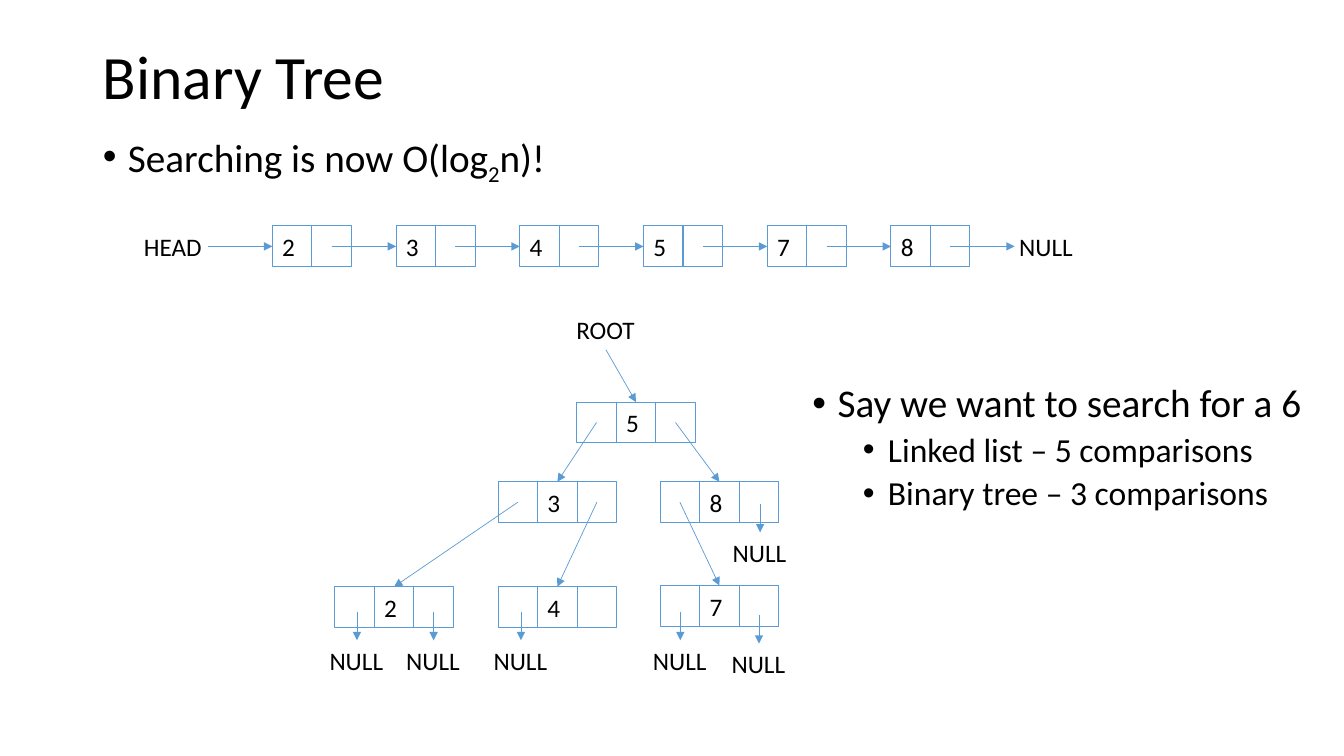
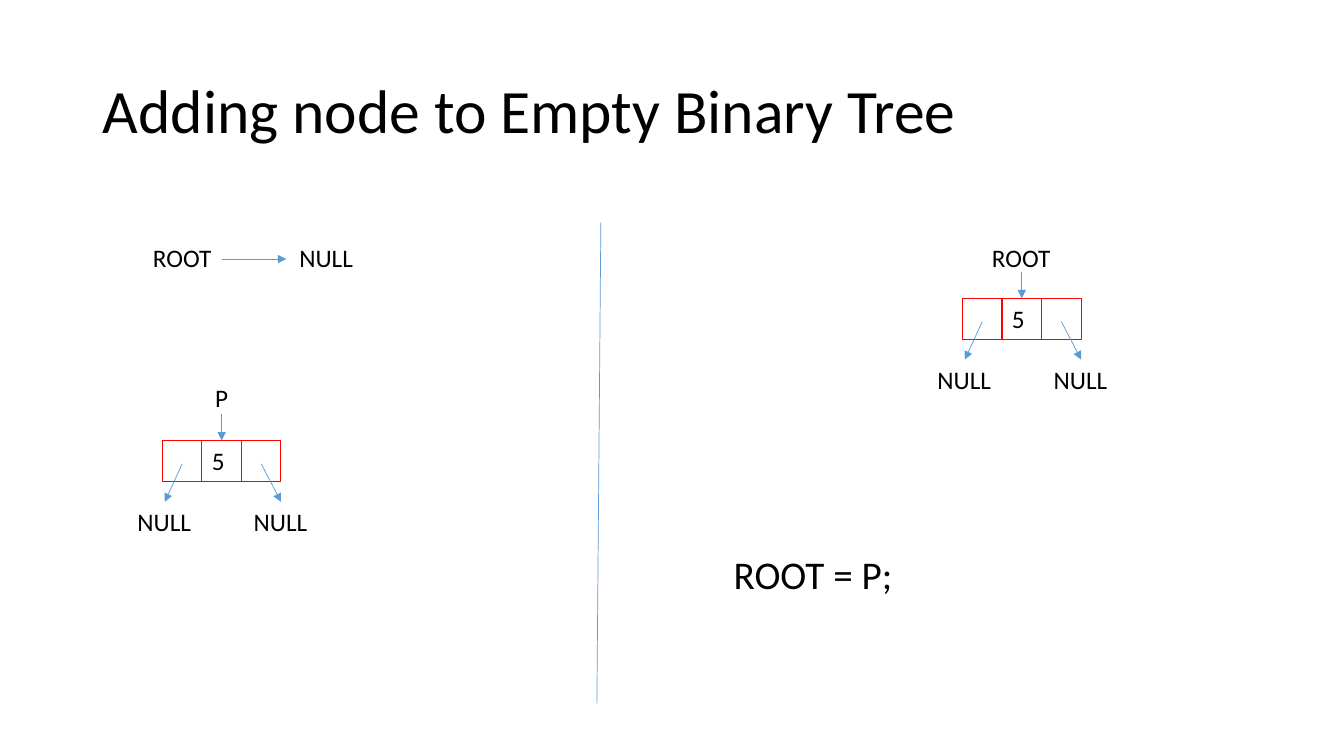
from dataclasses import dataclass
from typing import Any, NamedTuple

from lxml import etree
from pptx import Presentation
from pptx import util as u
from pptx.dml.color import RGBColor
from pptx.enum import shapes, text
from pptx.oxml import ns

SLIDE_WIDTH = u.Inches(13.333)
SLIDE_HEIGHT = u.Inches(7.5)
COLUMNS = 34
ROWS = 18.5

BLACK = RGBColor(0x00, 0x00, 0x00)
BLUE = RGBColor(0x5B, 0x9B, 0xD5)
RED = RGBColor(0xFF, 0x00, 0x00)

TITLE_ONLY = 5
LIST_PITCH = 3.13
POINTER_DROP = 0.7
LABEL_WIDTHS = {"NULL": 1.89, "ROOT": 2.01, "HEAD": 1.99, "P": 0.84}
LEFT_ALIGNED = {"alignment": text.PP_ALIGN.LEFT}
TITLE_PARAGRAPH = LEFT_ALIGNED | {"line_spacing": 0.9}
TITLE_FRAME = {"word_wrap": True, "vertical_anchor": text.MSO_ANCHOR.MIDDLE}
BODY_FRAME = {"word_wrap": True, "vertical_anchor": text.MSO_ANCHOR.TOP}
LABEL_FRAME = {"word_wrap": False, "auto_size": text.MSO_AUTO_SIZE.SHAPE_TO_FIT_TEXT}


class Point(NamedTuple):
    column: float
    row: float


class Box(NamedTuple):
    column: float
    row: float
    columns: float
    rows: float


@dataclass(frozen=True)
class Node:
    values: tuple[str, ...]
    corner: Point
    color: RGBColor = BLUE

    def at(self, columns: float, rows: float) -> Point:
        return Point(self.corner.column + columns, self.corner.row + rows)

    def slot(self, index: int) -> Point:
        return self.at(index + 0.5, 0.5)

    @property
    def top(self) -> Point:
        return self.at(len(self.values) / 2, 0)


@dataclass(frozen=True)
class Line:
    pieces: tuple[str, ...]
    size: int = 28
    before: int = 10
    indent: float = 0
    subscript: int = -1


def tree_node(value: str, column: float, row: float, color: RGBColor = BLUE) -> Node:
    return Node(("", value, ""), Point(column, row), color)


TREE = {
    "5": tree_node("5", 14.59, 9.84),
    "3": tree_node("3", 12.6, 11.79),
    "8": tree_node("8", 16.7, 11.79),
    "2": tree_node("2", 8.47, 14.36),
    "4": tree_node("4", 12.6, 14.36),
    "7": tree_node("7", 16.7, 14.33),
}
TREE_LINKS = [("5", 0, "3"), ("5", 2, "8"), ("3", 0, "2"), ("3", 2, "4"), ("8", 0, "7")]
NULL_POINTERS = [
    Point(9.03, 14.97),
    Point(10.97, 14.97),
    Point(13.18, 14.97),
    Point(17.21, 14.97),
    Point(19.2, 15.05),
    Point(19.23, 12.33),
]
COMPARISONS = [
    Line(("Say we want to search for a 6",), indent=0.25),
    Line(("Linked list – 5 comparisons",), 24, 5, 0.75),
    Line(("Binary tree – 3 comparisons",), 24, 5, 0.75),
]


def across(columns: float) -> u.Emu:
    return u.Emu(round(SLIDE_WIDTH * columns / COLUMNS))


def down(rows: float) -> u.Emu:
    return u.Emu(round(SLIDE_HEIGHT * rows / ROWS))


def place(box: Box) -> tuple[u.Emu, ...]:
    return across(box.column), down(box.row), across(box.columns), down(box.rows)


def apply_format(target: Any, values: dict[str, Any]) -> None:
    for name, value in values.items():
        setattr(target, name, value)


def add_run(paragraph: Any, content: str, size: int) -> Any:
    run = paragraph.add_run()
    run.text = content
    apply_format(run.font, {"name": "Calibri", "size": u.Pt(size)})
    run.font.color.rgb = BLACK
    return run


def add_titled_slide(presentation: Any, title: str, rows: float) -> Any:
    slide = presentation.slides.add_slide(presentation.slide_layouts[TITLE_ONLY])
    shape = slide.shapes.title
    sizes = place(Box(2.35, 0.99, 29.33, rows))
    apply_format(shape, dict(zip(("left", "top", "width", "height"), sizes)))
    apply_format(shape.text_frame, TITLE_FRAME)
    paragraph = shape.text_frame.paragraphs[0]
    apply_format(paragraph, TITLE_PARAGRAPH)
    add_run(paragraph, title, 44)
    return slide


def add_bullet(paragraph: Any, indent: float) -> None:
    properties = paragraph._p.get_or_add_pPr()
    properties.set("marL", str(u.Inches(indent)))
    properties.set("indent", str(u.Inches(-0.25)))
    etree.SubElement(properties, ns.qn("a:buFont")).set("typeface", "Arial")
    etree.SubElement(properties, ns.qn("a:buChar")).set("char", "•")


def draw_body(slide: Any, box: Box, lines: list[Line]) -> None:
    frame = slide.shapes.add_textbox(*place(box)).text_frame
    apply_format(frame, BODY_FRAME)
    for index, line in enumerate(lines):
        paragraph = frame.add_paragraph() if index else frame.paragraphs[0]
        apply_format(paragraph, TITLE_PARAGRAPH | {"space_before": u.Pt(line.before)})
        if line.indent:
            add_bullet(paragraph, line.indent)
        for position, piece in enumerate(line.pieces):
            run = add_run(paragraph, piece, line.size)
            if position == line.subscript:
                run._r.get_or_add_rPr().set("baseline", "-25000")


def draw_label(slide: Any, content: str, corner: Point) -> None:
    box = Box(*corner, LABEL_WIDTHS[content], 1)
    frame = slide.shapes.add_textbox(*place(box)).text_frame
    apply_format(frame, LABEL_FRAME)
    add_run(frame.paragraphs[0], content, 18)


def draw_centred_label(slide: Any, content: str, top: Point) -> None:
    draw_label(slide, content, Point(top.column - LABEL_WIDTHS[content] / 2, top.row))


def draw_line(slide: Any, start: Point, end: Point, arrow: bool = True) -> None:
    connector = slide.shapes.add_connector(
        shapes.MSO_CONNECTOR.STRAIGHT,
        across(start.column), down(start.row), across(end.column), down(end.row),
    )
    connector.line.color.rgb = BLUE
    connector.line.width = u.Pt(0.5)
    if arrow:
        outline = connector.line._get_or_add_ln()
        etree.SubElement(outline, ns.qn("a:tailEnd")).set("type", "triangle")
    etree.SubElement(connector._element.spPr, ns.qn("a:effectLst"))


def draw_null(slide: Any, start: Point, end: Point) -> None:
    draw_line(slide, start, end)
    draw_centred_label(slide, "NULL", end)


def draw_node(slide: Any, node: Node) -> None:
    for index, value in enumerate(node.values):
        box = Box(*node.at(index, 0), 1, 1)
        shape = slide.shapes.add_shape(shapes.MSO_SHAPE.RECTANGLE, *place(box))
        shape.shadow.inherit = False
        shape.fill.background()
        shape.line.color.rgb = node.color
        shape.line.width = u.Pt(0.75)
        if value:
            paragraph = shape.text_frame.paragraphs[0]
            apply_format(paragraph, LEFT_ALIGNED)
            add_run(paragraph, value, 18)


def draw_linked_list(slide: Any, values: str, corner: Point) -> None:
    reach = LIST_PITCH - 1.5
    middle = corner.row + 0.5
    draw_label(slide, "HEAD", Point(3.39, corner.row))
    draw_line(slide, Point(corner.column - reach, middle), Point(corner.column, middle))
    for index, value in enumerate(values):
        node = Node((value, ""), Point(corner.column + index * LIST_PITCH, corner.row))
        draw_node(slide, node)
        draw_line(slide, node.slot(1), node.at(LIST_PITCH, 0.5))
    draw_label(slide, "NULL", Point(25.53, corner.row))


def draw_tree(slide: Any) -> None:
    for node in TREE.values():
        draw_node(slide, node)
    for parent, slot, child in TREE_LINKS:
        draw_line(slide, TREE[parent].slot(slot), TREE[child].top)
    for start in NULL_POINTERS:
        draw_null(slide, start, Point(start.column, start.row + POINTER_DROP))
    draw_label(slide, "ROOT", Point(14.33, 7.57))
    draw_line(slide, Point(15.33, 8.56), TREE["5"].top)


def draw_single_node(slide: Any, node: Node, name: str, rise: float) -> None:
    draw_node(slide, node)
    draw_centred_label(slide, name, node.at(1.5, -rise))
    draw_line(slide, node.at(1.5, -0.65), node.top)
    for start, end in ((0.5, 0.06), (2.5, 3)):
        draw_null(slide, node.at(start, 0.57), node.at(end, 1.5))


def build_search_slide(presentation: Any) -> None:
    slide = add_titled_slide(presentation, "Binary Tree", 1.92)
    claim = Line(("Searching is now O(log", "2", "n)!"), indent=0.25, subscript=1)
    draw_body(slide, Box(2.35, 3.16, 29.33, 1.46), [claim])
    draw_linked_list(slide, "234578", Point(6.89, 5.53))
    draw_tree(slide)
    draw_body(slide, Box(20.3, 9.27, 12.95, 4.24), COMPARISONS)


def build_insert_slide(presentation: Any) -> None:
    slide = add_titled_slide(presentation, "Adding node to Empty Binary Tree", 3.58)
    draw_label(slide, "ROOT", Point(3.62, 5.82))
    draw_line(slide, Point(5.61, 6.34), Point(7.24, 6.34))
    draw_label(slide, "NULL", Point(7.32, 5.82))
    draw_single_node(slide, tree_node("5", 4.11, 10.78, RED), "P", 1.55)
    draw_single_node(slide, tree_node("5", 24.35, 7.3, RED), "ROOT", 1.48)
    draw_line(slide, Point(15.2, 5.45), Point(15.1, 17.22), arrow=False)
    draw_body(slide, Box(18.31, 13.47, 4.9, 1.55), [Line(("ROOT = P;",))])


def main() -> None:
    presentation = Presentation()
    apply_format(presentation, {"slide_width": SLIDE_WIDTH, "slide_height": SLIDE_HEIGHT})
    build_search_slide(presentation)
    build_insert_slide(presentation)
    presentation.save("out.pptx")


if __name__ == "__main__":
    main()
